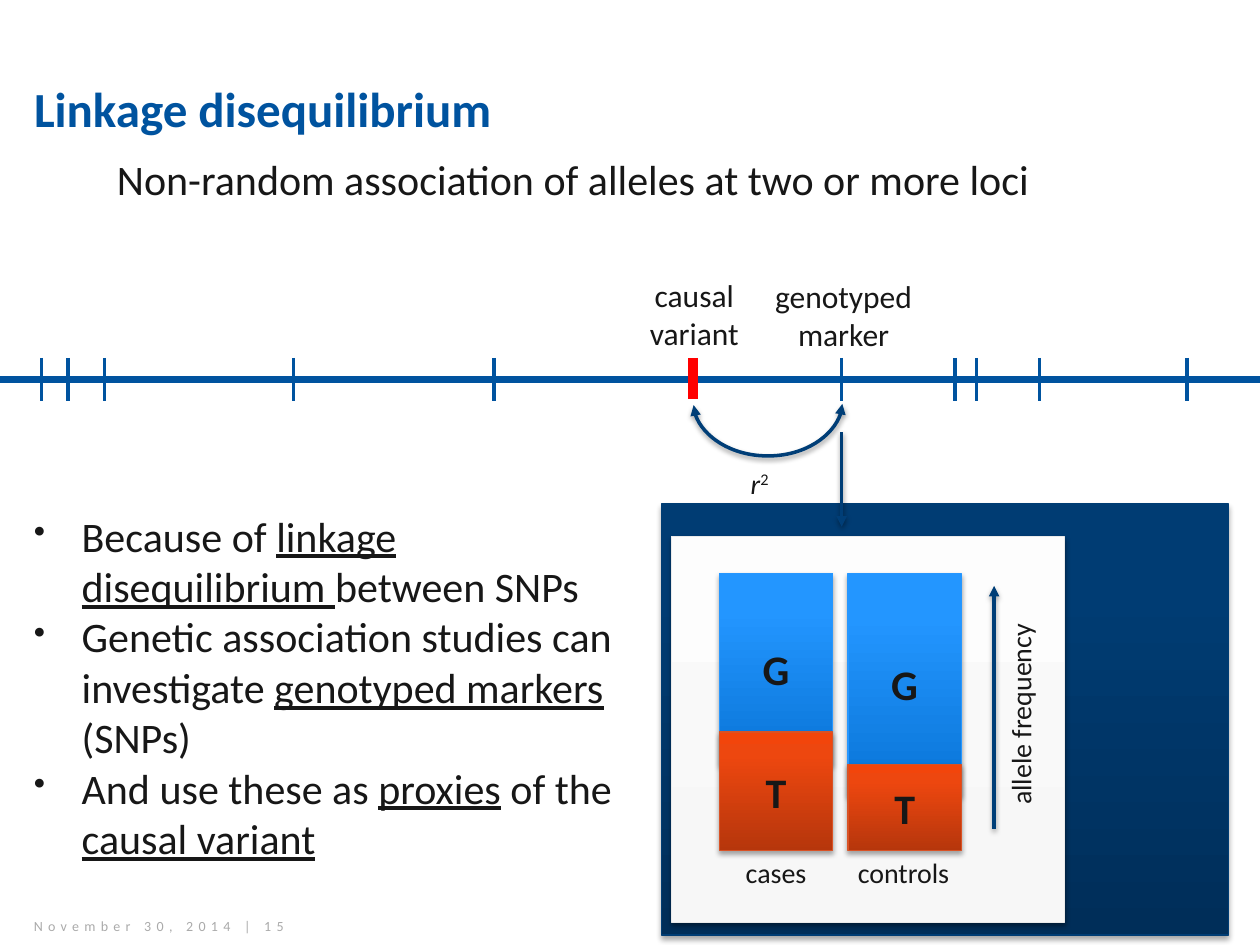
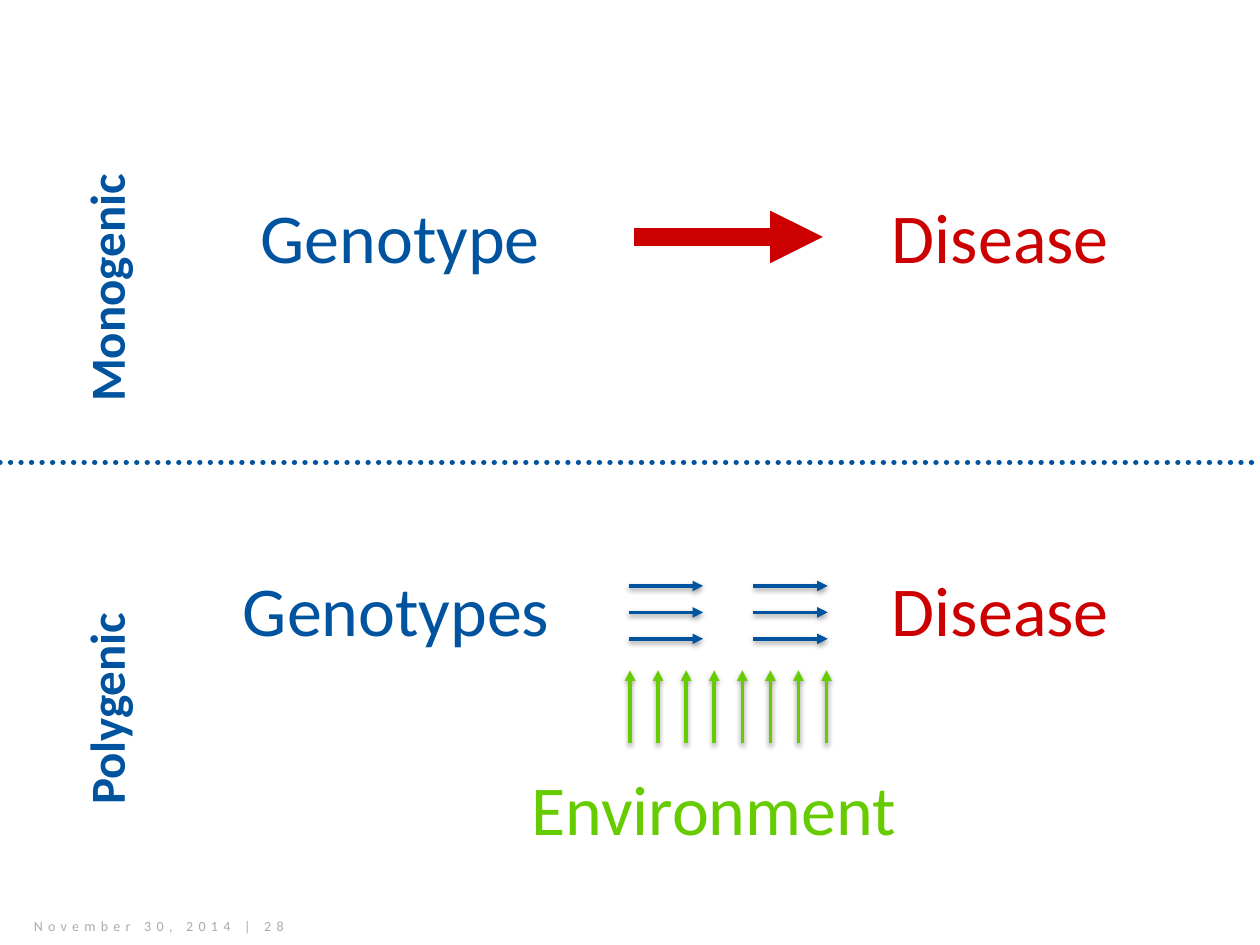
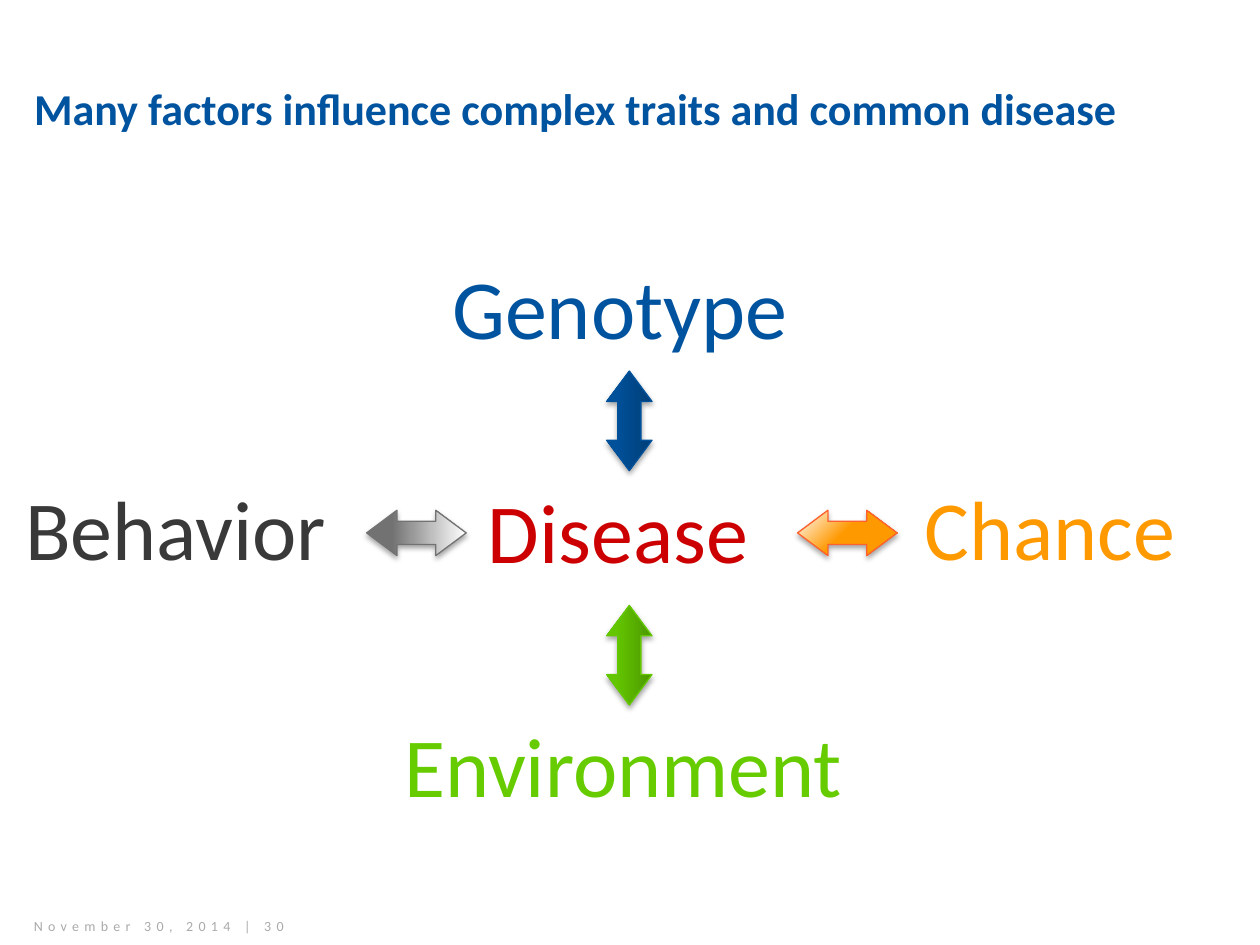
from dataclasses import dataclass

from lxml import etree
from pptx import Presentation
from pptx.dml.color import RGBColor
from pptx.enum.dml import MSO_LINE
from pptx.enum.shapes import MSO_CONNECTOR as CONN, MSO_SHAPE as SHAPE
from pptx.enum.text import MSO_ANCHOR as ANCHOR, MSO_AUTO_SIZE as FIT, PP_ALIGN as ALIGN
from pptx.oxml.ns import qn
from pptx.util import Inches, Pt


@dataclass(frozen=True)
class Look:
    stops: tuple
    line: str
    angle: int = 270
    corner: bool = False
    shadow: tuple = (35, 1.8)


@dataclass(frozen=True)
class Theme:
    font: str = "Calibri"
    blue: str = "00539F"
    navy: str = "003E77"
    red: str = "CC0000"
    causal: str = "FF0000"
    green: str = "66CC00"
    orange: str = "FF9900"
    dark: str = "393939"
    ink: str = "171717"
    muted: str = "AAAAAA"
    title: float = 28
    small_title: float = 25.2
    body: float = 24
    label: float = 18
    note: float = 16
    footer: float = 8
    word: float = 40
    big_word: float = 48
    line_shadow: tuple = (38, 1.6)
    frame: Look = Look(((0, "002E59"), (80, "003C73"), (100, "003C74")), "003D74")
    card: Look = Look(((0, "F7F7F7"), (35, "F9F9F9"), (100, "FDFDFD")), "EAEAEA",
                      shadow=(38, 1.6))
    allele_g: Look = Look(((0, "0974D6"), (80, "2396FF"), (100, "2496FF")), "2697FF")
    allele_t: Look = Look(((0, "B6360C"), (80, "ED470F"), (100, "F2450B")), "D95225")
    chance: Look = Look(((52, "FF9900"), (100, "FFFFFF")), "FE612D", corner=True)
    behavior: Look = Look(((25, "727272"), (100, "FFFFFF")), "727272", angle=0)
    genotype: Look = Look(((0, "003E77"), (80, "00509A"), (100, "00519B")), "00519B")
    environment: Look = Look(((0, "4C9800"), (80, "63C600"), (100, "63C700")), "64C800")


T = Theme()


def assign(obj, values):
    for name, value in values.items():
        setattr(obj, name, value)


def child(parent, tag, **attrs):
    el = etree.SubElement(parent, qn(tag))
    for name, value in attrs.items():
        el.set(name, str(value))
    return el


def style_font(font, size, color, **fmt):
    assign(font, {"name": T.font, "size": Pt(size), **fmt})
    font.color.rgb = RGBColor.from_string(color)


def add_shadow(effects, shadow):
    alpha, dist = shadow
    outer = child(effects, "a:outerShdw", blurRad=Pt(3.1), dist=Pt(dist), dir=5400000,
                  rotWithShape=0)
    child(child(outer, "a:srgbClr", val="000000"), "a:alpha", val=alpha * 1000)


def write(tf, paras, size, color, align=ALIGN.LEFT, bullet=False, **fmt):
    for i, runs in enumerate(paras):
        p = tf.paragraphs[0] if i == 0 else tf.add_paragraph()
        p.alignment = align
        if bullet:
            pPr = p._p.get_or_add_pPr()
            pPr.set("marL", str(Inches(0.38)))
            pPr.set("indent", str(Inches(-0.38)))
            child(pPr, "a:buSzPct", val=80000)
            child(pPr, "a:buChar", char="•")
        for text, extra in runs:
            if text == "\n":
                p.add_line_break()
                continue
            r = p.add_run()
            r.text = text
            style_font(r.font, size, color, **fmt, **extra)


def plain(text):
    return [[(text, {})]]


def add_text(shapes, box, paras, size, color, wrap=False, grow=True, anchor=ANCHOR.TOP,
             rotation=0, inset=None, **fmt):
    sp = shapes.add_textbox(*map(Inches, box))
    sp.rotation = rotation
    tf = sp.text_frame
    assign(tf, {"word_wrap": wrap, "vertical_anchor": anchor,
                "auto_size": FIT.SHAPE_TO_FIT_TEXT if grow else FIT.NONE})
    if inset is not None:
        assign(tf, {f"margin_{side}": Inches(inset)
                    for side in ("left", "top", "right", "bottom")})
    write(tf, paras, size, color, **fmt)
    return sp


def add_shape(shapes, kind, box, look, rotation=0):
    sp = shapes.add_shape(kind, *map(Inches, box))
    sp.rotation = rotation
    sp.line.color.rgb = RGBColor.from_string(look.line)
    sp.line.width = Pt(0.75)
    sp.shadow.inherit = False
    sp.fill.background()
    spPr = sp._element.spPr
    grad = etree.Element(qn("a:gradFill"), rotWithShape="1")
    stops = child(grad, "a:gsLst")
    for pos, color in look.stops:
        child(child(stops, "a:gs", pos=pos * 1000), "a:srgbClr", val=color)
    if look.corner:
        child(child(grad, "a:path", path="circle"), "a:fillToRect", l=100000, t=100000)
    else:
        child(grad, "a:lin", ang=look.angle * 60000, scaled=0)
    spPr.replace(spPr.find(qn("a:noFill")), grad)
    add_shadow(spPr.find(qn("a:effectLst")), look.shadow)
    return sp


def add_line(shapes, start, end, color, width, head=False, tail=False, shadow=None,
             dotted=False, kind=CONN.STRAIGHT):
    c = shapes.add_connector(kind, *map(Inches, (*start, *end)))
    c.line.color.rgb = RGBColor.from_string(color)
    c.line.width = Pt(width)
    ln = c.line._get_or_add_ln()
    if dotted:
        c.line.dash_style = MSO_LINE.ROUND_DOT
        ln.set("cap", "rnd")
    if head:
        child(ln, "a:headEnd", type="triangle")
    if tail:
        child(ln, "a:tailEnd", type="triangle")
    effects = child(c._element.spPr, "a:effectLst")
    if shadow:
        add_shadow(effects, shadow)
    return c


def add_slide(prs, number, title=None, title_size=T.title):
    slide = prs.slides.add_slide(prs.slide_layouts[5 if title else 6])
    if title:
        sp = slide.shapes.title
        assign(sp, dict(zip(("left", "top", "width", "height"),
                            map(Inches, (0.17, 0.38, 8.83, 0.95)))))
        assign(sp.text_frame, {"word_wrap": True, "auto_size": FIT.NONE,
                               "vertical_anchor": ANCHOR.MIDDLE})
        write(sp.text_frame, plain(title), title_size, T.blue, bold=True)
    footer = add_text(slide.shapes, (0.17, 7.25, 2.56, 0.2),
                      plain(f"November 30, 2014 | {number}"), T.footer, T.muted,
                      wrap=True, grow=False, anchor=ANCHOR.MIDDLE)
    footer.text_frame.paragraphs[0].runs[0].font._element.set("spc", "300")
    return slide.shapes


def allele_panel(shapes, x, y):
    add_shape(shapes, SHAPE.RECTANGLE, (x, y, 4.5, 3.42), T.frame)
    add_shape(shapes, SHAPE.RECTANGLE, (x + 0.08, y + 0.26, 3.12, 3.06), T.card)
    top, base, width = y + 0.55, y + 2.75, 0.9
    columns = (("cases", 0.46, 1.52, 0.94, 0.57, 0.69),
               ("controls", 1.48, 1.76, 0.68, 1.46, 0.98))
    for group, left, g_height, t_height, label_left, label_width in columns:
        for allele, bar_top, height, look in (("G", top, g_height, T.allele_g),
                                              ("T", base - t_height, t_height, T.allele_t)):
            sp = add_shape(shapes, SHAPE.RECTANGLE, (x + left, bar_top, width, height), look)
            assign(sp.text_frame, {"word_wrap": False, "vertical_anchor": ANCHOR.MIDDLE})
            write(sp.text_frame, plain(allele), T.body, T.ink, ALIGN.CENTER, bold=True)
        add_text(shapes, (x + label_left, y + 2.74, label_width, 0.37), plain(group),
                 T.note, T.ink)
    add_line(shapes, (x + 2.64, y + 0.65), (x + 2.64, y + 2.58), T.navy, 2, head=True,
             shadow=T.line_shadow)
    add_text(shapes, (x + 2.02, y + 1.47, 1.66, 0.37), plain("allele frequency"),
             T.note, T.ink, rotation=270)


def chromosome(shapes, y, causal, marker):
    add_line(shapes, (0, y), (10, y), T.blue, 4)
    for x in (0.33, 0.54, 0.83, 2.33, 3.92, marker, 7.58, 7.75, 8.25, 9.42):
        add_line(shapes, (x, y - 0.17), (x, y + 0.17), T.blue, 2)
    add_line(shapes, (causal, y - 0.17), (causal, y + 0.16), T.causal, 6)
    label = {"wrap": True, "anchor": ANCHOR.MIDDLE, "align": ALIGN.CENTER}
    add_text(shapes, (causal - 0.58, y - 0.87, 1.18, 0.7), plain("causal variant"),
             T.label, T.ink, **label)
    add_text(shapes, (marker - 0.68, y - 0.86, 1.39, 0.7),
             [[("genotyped", {}), ("\n", {}), ("marker", {})]], T.label, T.ink, **label)

    span, mid = marker - causal, (causal + marker) / 2
    arc = add_line(shapes, (mid, y + 0.2 - span / 2), (mid + 0.01, y + 0.2 + span / 2),
                   T.navy, 2, head=True, tail=True, shadow=T.line_shadow, kind=CONN.CURVE)
    spPr = arc._element.spPr
    spPr.find(qn("a:xfrm")).set("rot", "5400000")
    geom = spPr.find(qn("a:prstGeom"))
    guides = geom.find(qn("a:avLst"))
    if guides is None:
        guides = child(geom, "a:avLst")
    child(guides, "a:gd", name="adj1", fmla="val 4200000")
    add_text(shapes, (mid - 0.23, y + 0.64, 0.37, 0.37),
             [[("r", {"italic": True}), ("2", {})]], T.note, T.ink
             ).text_frame.paragraphs[0].runs[1].font._element.set("baseline", "30000")
    add_line(shapes, (marker, y + 0.42), (marker, y + 1.17), T.navy, 2, tail=True,
             shadow=T.line_shadow)


def linkage_slide(prs):
    shapes = add_slide(prs, 15, "Linkage disequilibrium")
    allele_panel(shapes, 5.25, 4)
    chromosome(shapes, 3.01, 5.5, 6.68)
    sub = add_text(shapes, (0.33, 1.17, 9.08, 0.5),
                   plain("Non-random association of alleles at two or more loci"),
                   T.body, T.ink, wrap=True)
    sub.text_frame.paragraphs[0]._p.get_or_add_pPr().set("marL", str(Inches(0.5)))
    under = {"underline": True}
    add_text(shapes, (0.17, 4, 5, 3.74), [
        [("Because of ", {}), ("linkage disequilibrium ", under), ("between SNPs", {})],
        [("Genetic association studies can investigate ", {}),
         ("genotyped markers", under), (" (SNPs)", {})],
        [("And use these as ", {}), ("proxies", under), (" of the ", {}),
         ("causal variant", under)],
    ], T.body, T.ink, wrap=True, bullet=True)


def pathway(shapes, y, name, name_mid, cause, cause_left, cause_width):
    add_text(shapes, (-1.05, name_mid - 0.29, 3.77, 0.57), plain(name), T.title, T.blue,
             wrap=True, grow=False, anchor=ANCHOR.MIDDLE, rotation=270,
             align=ALIGN.CENTER, bold=True)
    for text, left, width, color in ((cause, cause_left, cause_width, T.blue),
                                     ("Disease", 6.98, 1.95, T.red)):
        add_text(shapes, (left, y, width, 0.77), plain(text), T.word, color)


def arrow_group(shapes, starts, dx, dy, color):
    group = shapes.add_group_shape()
    for x, y in starts:
        add_line(group.shapes, (x, y), (x + dx, y + dy), color, 2, tail=True,
                 shadow=T.line_shadow)


def inheritance_slide(prs):
    shapes = add_slide(prs, 28)
    pathway(shapes, 1.49, "Monogenic", 2.29, "Genotype", 1.97, 2.46)
    add_line(shapes, (5.03, 1.88), (6.53, 1.88), T.red, 10, tail=True)
    pathway(shapes, 4.45, "Polygenic", 5.63, "Genotypes", 1.83, 2.67)
    add_text(shapes, (4.12, 6.03, 3.15, 0.77), plain("Environment"), T.word, T.green)
    arrow_group(shapes, [(5 + i * 1.56 / 7, 5.9) for i in range(8)], 0, -0.58, T.green)
    for x in (4.99, 5.98):
        arrow_group(shapes, [(x, 4.65 + i * 0.21) for i in range(3)], 0.59, 0, T.blue)
    add_line(shapes, (0, 3.67), (10, 3.67), T.blue, 3, dotted=True)


def factors_slide(prs):
    shapes = add_slide(prs, 30, "Many factors influence complex traits and common disease",
                       T.small_title)
    for text, left, top, width, color in (("Disease", 3.84, 3.78, 2.15, T.red),
                                          ("Genotype", 3.56, 2, 2.75, T.blue),
                                          ("Environment", 3.18, 5.63, 3.66, T.green),
                                          ("Behavior", 0.17, 3.75, 2.48, T.dark),
                                          ("Chance", 7.31, 3.75, 2.07, T.orange)):
        add_text(shapes, (left, top, width, 0.87), plain(text), T.big_word, color,
                 inset=0.03)
    for left, top, rotation, look in ((6.33, 4.05, 0, T.chance),
                                      (2.91, 4.05, 0, T.behavior),
                                      (4.6, 3.16, 270, T.genotype),
                                      (4.6, 5.02, 270, T.environment)):
        sp = add_shape(shapes, SHAPE.LEFT_RIGHT_ARROW, (left, top, 0.79, 0.36), look,
                       rotation)
        sp.adjustments[0], sp.adjustments[1] = 0.51, 0.67


def main():
    prs = Presentation()
    prs.slide_width, prs.slide_height = Inches(10), Inches(7.5)
    linkage_slide(prs)
    inheritance_slide(prs)
    factors_slide(prs)
    prs.save("out.pptx")


if __name__ == "__main__":
    main()
